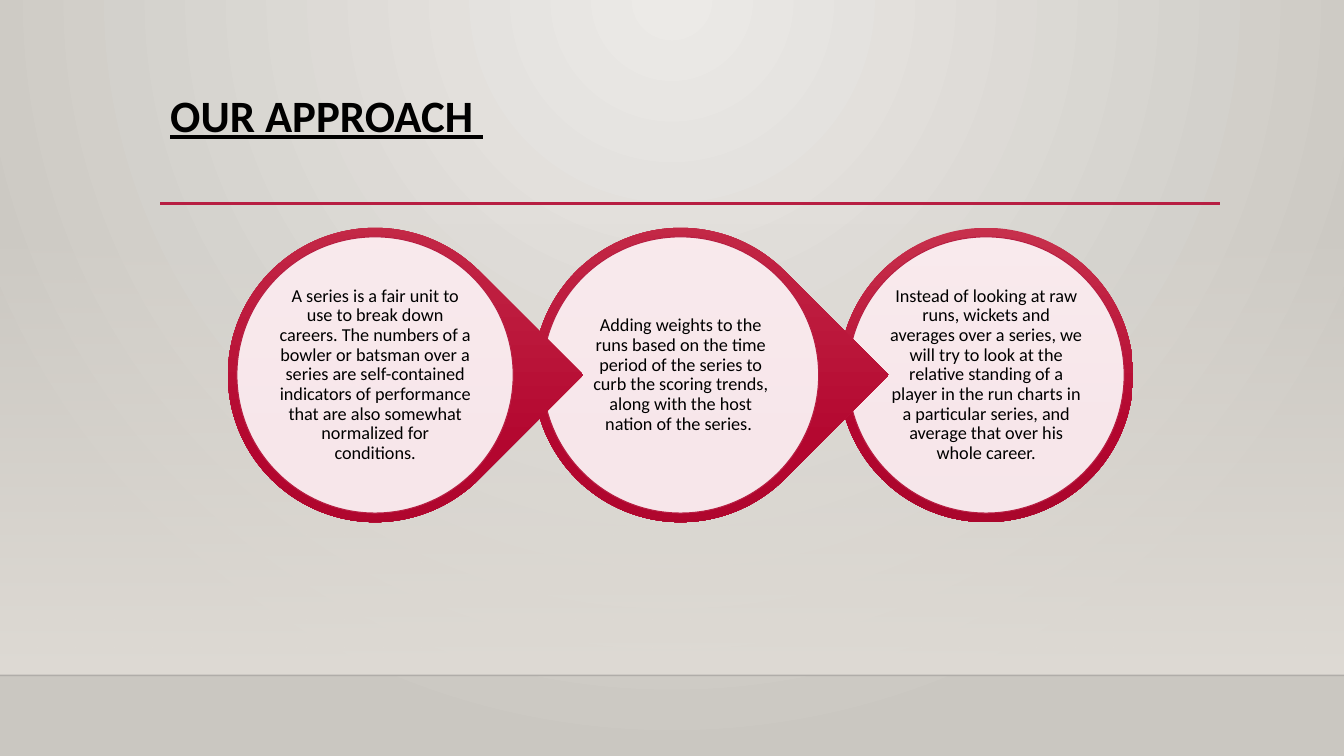
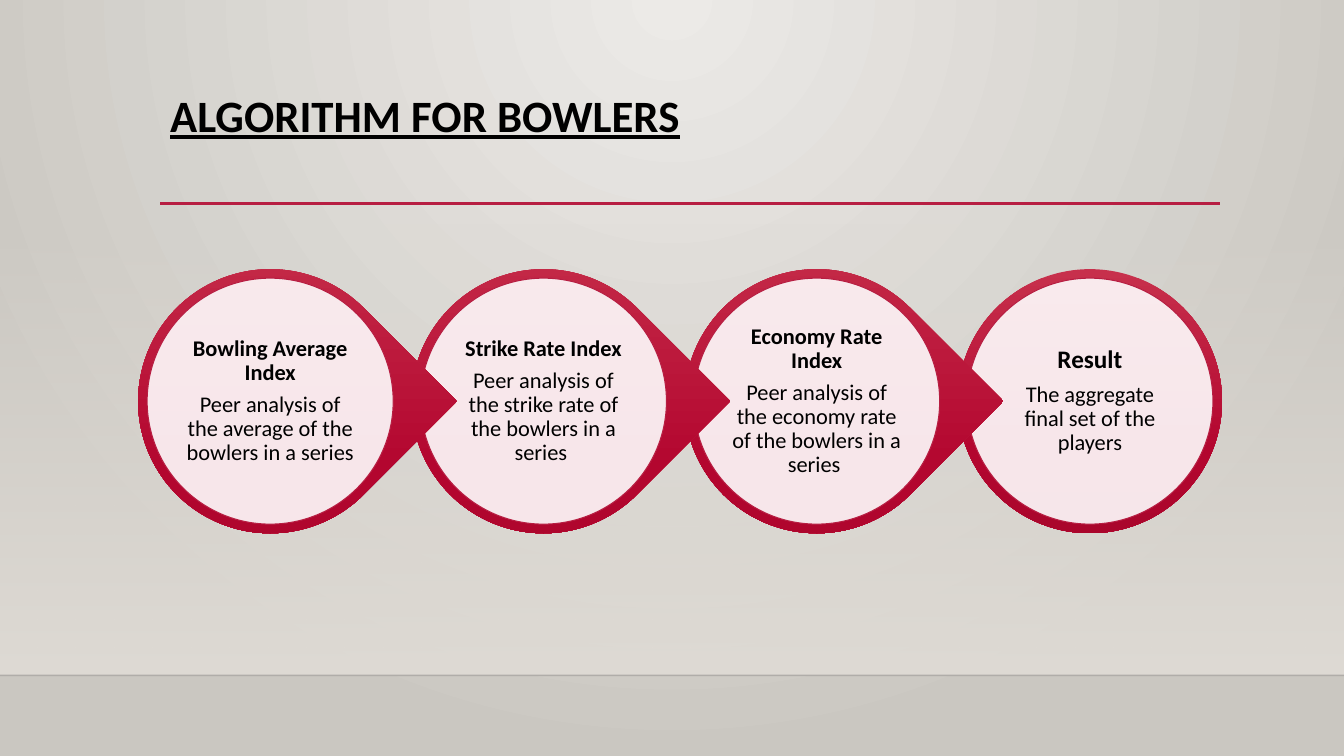
"""Build two slides of chained circles on a shared grey stage."""
from dataclasses import dataclass

from lxml.etree import SubElement
from pptx import Presentation
from pptx.dml.color import RGBColor
from pptx.enum.shapes import MSO_CONNECTOR, MSO_SHAPE
from pptx.enum.text import MSO_ANCHOR, PP_ALIGN
from pptx.oxml import parse_xml
from pptx.oxml.ns import nsdecls, qn
from pptx.util import Inches, Pt


@dataclass(frozen=True)
class Theme:
    font: str = "Calibri"
    title_size: int = 32
    text: RGBColor = RGBColor.from_string("000000")
    accent: RGBColor = RGBColor.from_string("B71E42")
    disc: RGBColor = RGBColor.from_string("FFFFFF")
    floor: RGBColor = RGBColor.from_string("000001")
    backdrop: tuple = ((0, "ECEAE7", 100), (100, "CAC7C1", 100))
    band: tuple = ((0, "DFDBD5", 0), (100, "DFDBD5", 100))
    ring: tuple = ((0, "C7304C", 100), (69, "B3062F", 100), (100, "AA062C", 100))


theme = Theme()
DOWN = '<a:lin ang="5400000" scaled="0"/>'
FROM_TOP = '<a:path path="circle"><a:fillToRect l="43000" t="0" r="43000" b="100000"/></a:path>'


def set_gradient(fill, element, stops, direction=DOWN):
    fill.solid()
    solid = element.xpath(".//a:solidFill")[0]
    marks = "".join(
        f'<a:gs pos="{pos * 1000}"><a:srgbClr val="{color}">'
        f'<a:alpha val="{alpha * 1000}"/></a:srgbClr></a:gs>'
        for pos, color, alpha in stops)
    solid.getparent().replace(solid, parse_xml(
        f'<a:gradFill {nsdecls("a")} rotWithShape="0">'
        f"<a:gsLst>{marks}</a:gsLst>{direction}</a:gradFill>"))


def add_text(s, box, paragraphs, align, anchor=MSO_ANCHOR.TOP, margin=None):
    tf = s.shapes.add_textbox(*map(Inches, box)).text_frame
    tf.word_wrap = True
    tf.vertical_anchor = anchor
    if margin is not None:
        tf.margin_left = tf.margin_right = tf.margin_top = tf.margin_bottom = Inches(margin)
    for i, (text, size, bold, underline) in enumerate(paragraphs):
        p = tf.add_paragraph() if i else tf.paragraphs[0]
        p.text = text
        p.alignment = align
        p.line_spacing = 0.9
        p.space_after = Pt(0.35 * size)
        p.font.name, p.font.size = theme.font, Pt(size)
        p.font.bold, p.font.underline = bold, underline
        p.font.color.rgb = theme.text


approach = [
    "A series is a fair unit to use to break down careers. The numbers of a bowler or batsman "
    "over a series are self-contained indicators of performance that are also somewhat "
    "normalized for conditions.",
    "Adding weights to the runs based on the time period of the series to curb the scoring "
    "trends, along with the host nation of the series. ",
    "Instead of looking at raw runs, wickets and averages over a series, we will try to look at "
    "the relative standing of a player in the run charts in a particular series, and average "
    "that over his whole career.",
]
bowlers = [
    ("Bowling Average Index", 16, "Peer analysis of the average of the bowlers in a series "),
    ("Strike Rate Index", 16, "Peer analysis of the strike rate of the bowlers in a series "),
    ("Economy Rate Index", 16, "Peer analysis of the economy rate of the bowlers in a series "),
    ("Result", 18, "The aggregate final set of the players"),
]
slides = [
    ("OUR APPROACH ", 2.26, 2.26, 2.92, 3.03,
     [[(text, 13, False, False)] for text in approach]),
    ("ALGORITHM FOR BOWLERS", 1.37, 2.67, 2.62, 2.71,
     [[(head, size, True, False), (text, 16, False, False)] for head, size, text in bowlers]),
]

prs = Presentation()
prs.slide_width, prs.slide_height = Inches(13.33), Inches(7.5)

for title, left, top, size, pitch, steps in slides:
    s = prs.slides.add_slide(prs.slide_layouts[6])
    set_gradient(s.background.fill, s.element, theme.backdrop, FROM_TOP)

    band = s.shapes.add_shape(
        MSO_SHAPE.RECTANGLE, Inches(0), Inches(2.21), Inches(13.33), Inches(4.49))
    band.shadow.inherit = False
    band.line.fill.background()
    set_gradient(band.fill, band.element, theme.band)

    for x1, x2, y, color, width, alpha in (
            (0, 13.33, 6.7, theme.floor, 1, 20), (1.59, 12.1, 2.02, theme.accent, 2.5, 100)):
        rule = s.shapes.add_connector(
            MSO_CONNECTOR.STRAIGHT, Inches(x1), Inches(y), Inches(x2), Inches(y))
        rule.line.color.rgb = color
        rule.line.width = Pt(width)
        SubElement(rule.element.xpath(".//a:srgbClr")[0], qn("a:alpha"), val=str(alpha * 1000))
        SubElement(rule.element.spPr, qn("a:effectLst"))

    add_text(s, (1.59, 0.88, 10.5, 1.15), [(title, theme.title_size, True, True)], PP_ALIGN.LEFT)

    last = len(steps) - 1
    for i in range(last, -1, -1):
        x = left + i * pitch
        ring = s.shapes.add_shape(
            MSO_SHAPE.OVAL if i == last else MSO_SHAPE.TEAR,
            Inches(x), Inches(top), Inches(size), Inches(size))
        ring.rotation = 0 if i == last else 45
        ring.shadow.inherit = False
        ring.line.fill.background()
        set_gradient(ring.fill, ring.element, theme.ring)

        rim = 0.09
        disc = s.shapes.add_shape(
            MSO_SHAPE.OVAL, Inches(x + rim), Inches(top + rim),
            Inches(size - 2 * rim), Inches(size - 2 * rim))
        disc.shadow.inherit = False
        disc.fill.solid()
        disc.fill.fore_color.rgb = theme.disc
        SubElement(disc.element.xpath(".//a:srgbClr")[0], qn("a:alpha"), val="90000")
        disc.line.color.rgb = theme.accent
        disc.line.width = Pt(0.75)

        inset = size / 6
        add_text(s, (x + inset, top + inset, size - 2 * inset, size - 2 * inset),
                 steps[i], PP_ALIGN.CENTER, MSO_ANCHOR.MIDDLE, 0.02)

prs.save("out.pptx")
